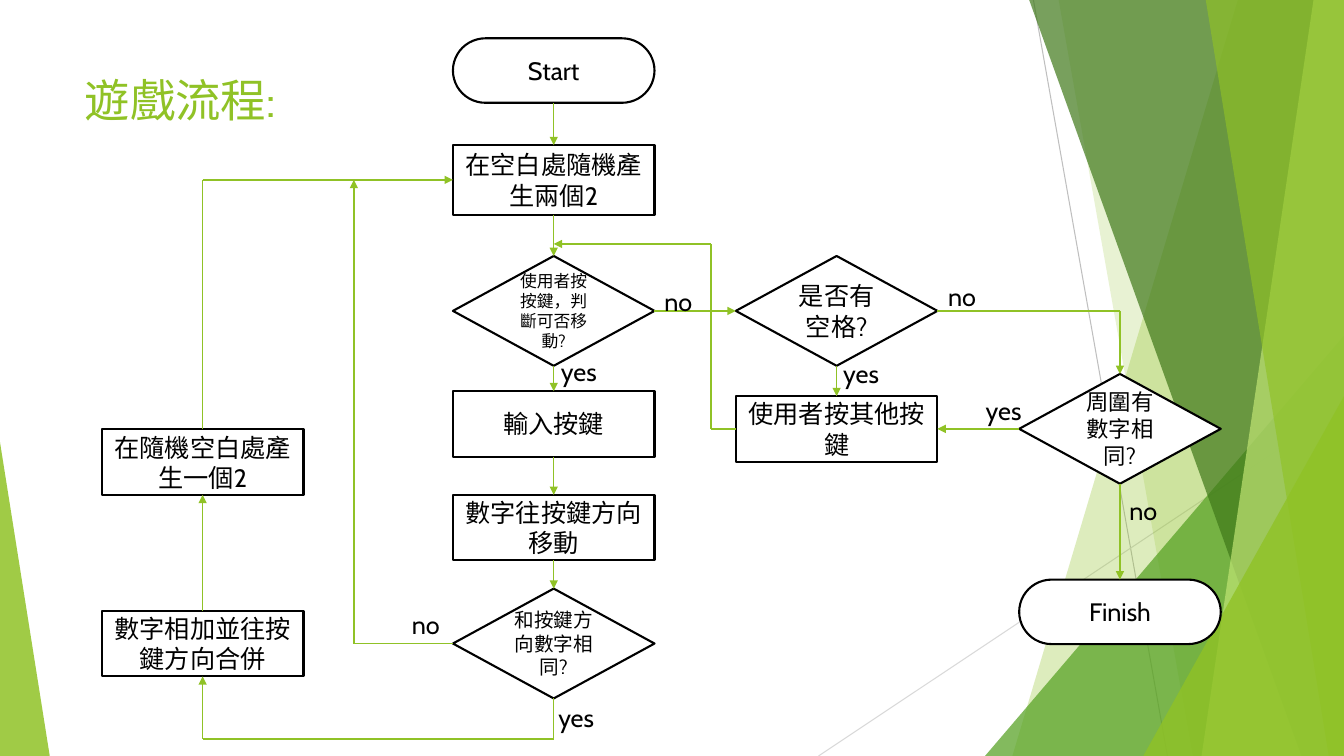
from itertools import pairwise

from lxml import etree
from pptx import Presentation
from pptx import util as u
from pptx.dml.color import RGBColor
from pptx.enum import shapes, text
from pptx.oxml.ns import qn

FONT = "Cabin"
LIME, LEAF, MOSS, PALE = "90C226", "54A021", "3F7819", "C0E474"
BLACK, WHITE = "000000", "FFFFFF"
KIND = shapes.MSO_SHAPE

deck = Presentation()
deck.slide_width, deck.slide_height = u.Inches(13.33), u.Inches(7.5)
WIDE, HIGH = deck.slide_width, deck.slide_height
slide = deck.slides.add_slide(deck.slide_layouts[5])
parts = slide.shapes


def hue(code):
    """Turn a hex string into a colour."""
    return RGBColor.from_string(code)


def sub(box, x, y, w, h):
    """Return the part of a box given by percent shares."""
    left, top, wide, high = box
    return (round(left + wide * x / 100), round(top + high * y / 100),
            round(wide * w / 100), round(high * h / 100))


def spot(box, x, y):
    """Return the point at percent shares of a box."""
    return sub(box, x, y, 0, 0)[:2]


def write(shape, words, size=18, color=BLACK, align=text.PP_ALIGN.LEFT,
          anchor=text.MSO_ANCHOR.TOP):
    """Put formatted words into a shape."""
    frame = shape.text_frame
    frame.word_wrap = True
    frame.vertical_anchor = anchor
    para = frame.paragraphs[0]
    para.alignment = align
    run = para.add_run()
    run.text = words
    run.font.name, run.font.size = FONT, u.Pt(size)
    run.font.color.rgb = hue(color)


def paint(shape, color, alpha=100):
    """Fill a shape, with its opacity in percent, and drop its shadow."""
    shape.shadow.inherit = False
    shape.fill.solid()
    shape.fill.fore_color.rgb = hue(color)
    if alpha < 100:
        tint = shape.fill._xPr.find(".//" + qn("a:srgbClr"))
        etree.SubElement(tint, qn("a:alpha"), val=str(alpha * 1000))


def draw(start, end, color, width, arrow=False):
    """Draw a straight connector, with an arrowhead at its end if asked."""
    line = parts.add_connector(shapes.MSO_CONNECTOR.STRAIGHT, *start, *end)
    line.line.color.rgb = hue(color)
    line.line.width = u.Pt(width)
    if arrow:
        etree.SubElement(line.line._get_or_add_ln(), qn("a:tailEnd"),
                         type="triangle")
    etree.SubElement(line._element.spPr, qn("a:effectLst"))
    return line


def wedge(box, peak, color, alpha):
    """Fill a box with a triangle whose peak is at a share of its width."""
    shape = parts.add_shape(KIND.ISOSCELES_TRIANGLE, *box)
    shape.adjustments[0] = peak
    paint(shape, color, alpha)
    shape.line.fill.background()


def pane(box, top, foot, color, alpha):
    """Fill the side of a box right of a slanted edge."""
    form = parts.build_freeform(*spot(box, top, 0))
    form.add_line_segments([spot(box, 100, 0), spot(box, 100, 100),
                            spot(box, foot, 100)], close=True)
    shape = form.convert_to_shape()
    paint(shape, color, alpha)
    shape.line.fill.background()


def facets(box):
    """Layer the slanted panes of the right-hand band."""
    draw(spot(box, 40.9, 0), spot(box, 66.4, 100), "BFBFBF", 0.75)
    draw(spot(box, 100, 53.7), spot(box, 0, 100), "D9D9D9", 0.75)
    pane(box, 79.8, 36.9, LIME, 30)
    pane(box, 45.7, 71.2, LIME, 20)
    wedge(sub(box, 31.7, 44.4, 68.3, 55.6), 1, LEAF, 72)
    pane(box, 40.1, 91.9, MOSS, 70)
    pane(box, 94.2, 72.9, PALE, 70)
    pane(box, 73.7, 97.1, LIME, 65)
    wedge(sub(box, 61.8, 52.4, 38.2, 47.6), 1, LIME, 80)


def head(box, words):
    """Set the title."""
    title = parts.title
    title.left, title.top, title.width, title.height = box
    write(title, words, size=32.4, color=LIME, anchor=text.MSO_ANCHOR.MIDDLE)


def flow(box):
    """Draw the game's flowchart: steps, routes and answers."""
    back, main, side, last = 15.08, 41.2, 62.25, 83.33
    spawn, ask, press, stuck, match = 23.8, 41.13, 56.07, 56.73, 85.13
    low, inner, loop, join = 97.73, 26.33, 52.89, 32.27
    end, step, test = (KIND.FLOWCHART_TERMINATOR, KIND.FLOWCHART_PROCESS,
                       KIND.FLOWCHART_DECISION)
    tall = {end: 8.53, step: 8.67, test: 14.53}
    nodes = {}
    for name, kind, x, y, words, size in [
            ("start", end, main, 9.33, "Start", 18),
            ("two", step, main, spawn, "在空白處隨機產生兩個2", 18),
            ("move", test, main, ask, "使用者按按鍵，判斷可否移動?", 12),
            ("key", step, main, press, "輸入按鍵", 18),
            ("slide", step, main, 69.8, "數字往按鍵方向移動", 18),
            ("same", test, main, match, "和按鍵方向數字相同?", 14),
            ("merge", step, back, match, "數字相加並往按鍵方向合併", 18),
            ("one", step, back, 61.13, "在隨機空白處產生一個2", 18),
            ("room", test, side, ask, "是否有空格?", 18),
            ("other", step, side, stuck, "使用者按其他按鍵", 18),
            ("near", test, last, stuck, "周圍有數字相同?", 16),
            ("finish", end, last, 80.93, "Finish", 18)]:
        high = 9.2 if name == "two" else tall[kind]
        node = parts.add_shape(kind, *sub(box, x - 7.5, y - high / 2, 15, high))
        paint(node, WHITE)
        node.line.color.rgb, node.line.width = hue(BLACK), u.Pt(1.5)
        write(node, words, size=size, align=text.PP_ALIGN.CENTER,
              anchor=text.MSO_ANCHOR.MIDDLE)
        nodes[name] = node

    # A stop is a node with a side, or a point in shares of the box.
    top, left, foot, right = range(4)
    for stops in [
            [("start", foot), ("two", top)],
            [("two", foot), ("move", top)],
            [("move", foot), ("key", top)],
            [("key", foot), ("slide", top)],
            [("slide", foot), ("same", top)],
            [("same", foot), (main, low), (back, low), ("merge", foot)],
            [("merge", top), ("one", foot)],
            [("one", top), (back, spawn), ("two", left)],
            [("same", left), (inner, match), (inner, spawn)],
            [("move", right), ("room", left)],
            [("room", foot), ("other", top)],
            [("room", right), (last, ask), ("near", top)],
            [("near", left), ("other", right)],
            [("near", foot), ("finish", top)],
            [("other", left), (loop, stuck), (loop, join), (main, join)]]:
        for a, b in pairwise(stops):
            ends = [(0, 0) if s[0] in nodes else spot(box, *s) for s in (a, b)]
            leg = draw(*ends, LIME, 1, arrow=b is stops[-1])
            if a[0] in nodes:
                leg.begin_connect(nodes[a[0]], a[1])
            if b[0] in nodes:
                leg.end_connect(nodes[b[0]], b[1])

    for words, wide, places in [
            ("no", 4, [(48.7, 37.2), (69.8, 36.5), (83.3, 64.9), (29.9, 80)]),
            ("yes", 6.3, [(41, 46.5), (40.8, 92.3), (72.6, 51.6),
                          (62, 46.8)])]:
        for x, y in places:
            label = parts.add_textbox(*sub(box, x, y, wide, 5.33))
            write(label, words)


page = (0, 0, WIDE, HIGH)
facets(sub(page, 60.9, 0, 39.1, 100))
wedge(sub(page, 0, 58.5, 3.7, 41.5), 0, LIME, 85)
head(sub(page, 5.55, 8.93, 70.5, 8.53), "遊戲流程:")
flow(page)
deck.save("out.pptx")
